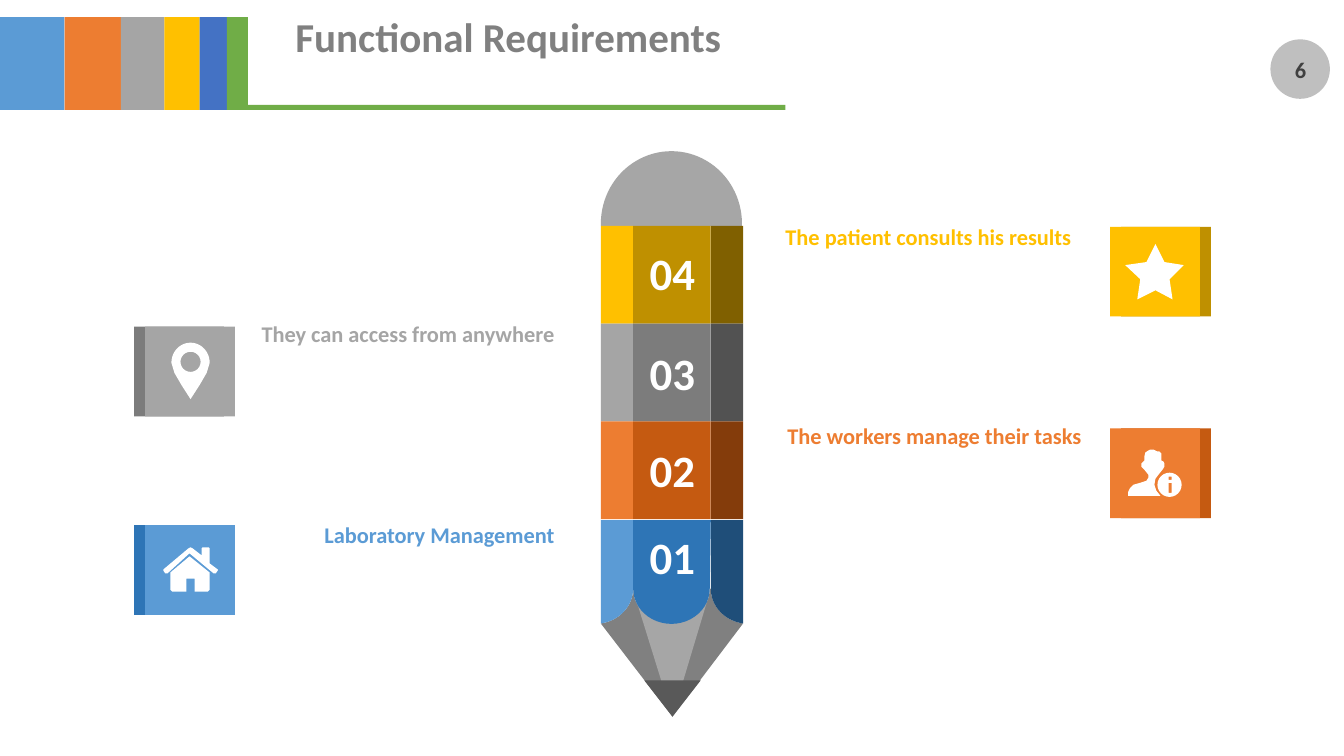
"""Build the Functional Requirements slide: a four-band pencil with labelled icon badges."""
import math

import pptx
import pptx.dml.color
import pptx.enum.shapes
import pptx.enum.text
import pptx.util

RGBColor = pptx.dml.color.RGBColor
SHAPE = pptx.enum.shapes.MSO_SHAPE
ALIGN = pptx.enum.text.PP_ALIGN
ANCHOR = pptx.enum.text.MSO_ANCHOR
FIT = pptx.enum.text.MSO_AUTO_SIZE
CELL = pptx.util.Inches(1)

WHITE = RGBColor(0xFF, 0xFF, 0xFF)
BLUE = RGBColor(0x5B, 0x9B, 0xD5)
MID_BLUE = RGBColor(0x2E, 0x75, 0xB6)
DARK_BLUE = RGBColor(0x1F, 0x4E, 0x79)
ORANGE = RGBColor(0xED, 0x7D, 0x31)
MID_ORANGE = RGBColor(0xC5, 0x5A, 0x11)
DARK_ORANGE = RGBColor(0x84, 0x3C, 0x0B)
GRAY = RGBColor(0xA5, 0xA5, 0xA5)
MID_GRAY = RGBColor(0x7C, 0x7C, 0x7C)
DARK_GRAY = RGBColor(0x52, 0x52, 0x52)
GOLD = RGBColor(0xFF, 0xC0, 0x00)
MID_GOLD = RGBColor(0xBF, 0x90, 0x00)
DARK_GOLD = RGBColor(0x80, 0x60, 0x00)
ROYAL = RGBColor(0x44, 0x72, 0xC4)
GREEN = RGBColor(0x70, 0xAD, 0x47)
SILVER = RGBColor(0xBF, 0xBF, 0xBF)
ERASER = RGBColor(0xA6, 0xA6, 0xA6)
WOOD = RGBColor(0x80, 0x80, 0x80)
LEAD = RGBColor(0x59, 0x59, 0x59)
INK = RGBColor(0x40, 0x40, 0x40)

deck = pptx.Presentation()
deck.slide_width = round(13.33 * CELL)
deck.slide_height = round(7.5 * CELL)
page = deck.slides.add_slide(deck.slide_layouts[6])


def arc(center_x, center_y, radius_x, radius_y, start, end):
    """Return points along an elliptical arc, with angles in degrees clockwise from the right."""
    steps = 24
    angles = [math.radians(start + (end - start) * step / steps) for step in range(steps + 1)]
    return [(center_x + radius_x * math.cos(angle), center_y + radius_y * math.sin(angle))
            for angle in angles]


def draw_outline(color, *contours):
    """Draw closed contours, given in grid cells, as one filled freeform."""
    builder = None
    for contour in contours:
        points = [(x * CELL, y * CELL) for x, y in contour]
        if builder is None:
            builder = page.shapes.build_freeform(*points[0])
        else:
            builder.move_to(*points[0])
        builder.add_line_segments(points[1:], close=True)
    outline = builder.convert_to_shape()
    outline.shadow.inherit = False
    outline.fill.solid()
    outline.fill.fore_color.rgb = color
    outline.line.fill.background()


presets = [
    (SHAPE.OVAL, 12.6, 0.39, 0.59, 0.59, SILVER),
    (SHAPE.RECTANGLE, 2.46, 1.04, 5.33, 0.05, GREEN),
    (SHAPE.CHORD, 5.96, 1.5, 1.4, 1.44, ERASER),
]

stripe_edges = [0, 0.64, 1.2, 1.63, 1.98, 2.25, 2.46]
for left, right, color in zip(stripe_edges, stripe_edges[1:],
                              [BLUE, ORANGE, GRAY, GOLD, ROYAL, GREEN]):
    presets.append((SHAPE.RECTANGLE, left, 0.17, right - left, 0.92, color))

pencil_edges = [5.96, 6.28, 7.05, 7.37]
BAND_TOP, BAND_HEIGHT = 2.24, 0.97
bands = [(GOLD, MID_GOLD, DARK_GOLD), (GRAY, MID_GRAY, DARK_GRAY),
         (ORANGE, MID_ORANGE, DARK_ORANGE)]
for row, shades in enumerate(bands):
    for left, right, color in zip(pencil_edges, pencil_edges[1:], shades):
        presets.append((SHAPE.RECTANGLE, left, BAND_TOP + row * BAND_HEIGHT,
                        right - left, BAND_HEIGHT, color))

BADGE = 0.89
for back, front, top, shade, color in [
    (1.33, 1.44, 5.21, MID_BLUE, BLUE),
    (11.12, 11.01, 4.25, MID_ORANGE, ORANGE),
    (1.33, 1.44, 3.24, MID_GRAY, GRAY),
    (11.12, 11.01, 2.25, MID_GOLD, GOLD),
]:
    presets.append((SHAPE.RECTANGLE, back, top, BADGE, BADGE, shade))
    presets.append((SHAPE.RECTANGLE, front, top, BADGE, BADGE, color))

for kind, left, top, width, height, color in presets:
    shape = page.shapes.add_shape(kind, *[round(size * CELL) for size in (left, top, width, height)])
    shape.shadow.inherit = False
    shape.fill.solid()
    shape.fill.fore_color.rgb = color
    shape.line.fill.background()
    if kind == SHAPE.CHORD:
        shape.adjustments[0] = 106.95
        shape.adjustments[1] = 1.06

scallops = [arc(center, 5.84, 0.38, 0.35, start, end)
            for center, start, end in [(5.9, 81, 0), (6.66, 180, 0), (7.43, 180, 99)]]
tip = (6.67, 7.11)
draw_outline(WOOD, sum(scallops, []) + [tip])
draw_outline(ERASER, [tip, (7.03, 5.91), (6.3, 5.92)])
draw_outline(LEAD, [tip, (6.39, 6.75), (6.95, 6.75)])
for left, right, scallop, color in zip(pencil_edges, pencil_edges[1:], scallops,
                                       [BLUE, MID_BLUE, DARK_BLUE]):
    draw_outline(color, [(left, 5.16)] + scallop + [(right, 5.16)])

house_roof = [(2.13, 5.69), (2.12, 5.69), (1.88, 5.49), (1.66, 5.69), (1.64, 5.69), (1.62, 5.66),
              (1.62, 5.65), (1.87, 5.44), (1.89, 5.43), (1.91, 5.44), (2, 5.51), (2, 5.44),
              (2.01, 5.43), (2.07, 5.43), (2.08, 5.44), (2.08, 5.59), (2.16, 5.65),
              (2.16, 5.66), (2.14, 5.69)]
house_walls = [(2.08, 5.85), (2.06, 5.87), (1.93, 5.87), (1.93, 5.74), (1.85, 5.74), (1.85, 5.87),
               (1.71, 5.87), (1.69, 5.85), (1.69, 5.68), (1.88, 5.52), (2.08, 5.68)]
draw_outline(WHITE, house_roof, house_walls)

worker = [(11.53, 4.66), (11.49, 4.71), (11.46, 4.75), (11.45, 4.81), (11.47, 4.87), (11.51, 4.92),
          (11.19, 4.92), (11.19, 4.88), (11.21, 4.84), (11.24, 4.81), (11.31, 4.79), (11.37, 4.77),
          (11.39, 4.74), (11.39, 4.71), (11.35, 4.66), (11.32, 4.63), (11.32, 4.6), (11.34, 4.58),
          (11.35, 4.57), (11.35, 4.53), (11.36, 4.49), (11.39, 4.47), (11.41, 4.46), (11.44, 4.46),
          (11.48, 4.48), (11.5, 4.48), (11.52, 4.5), (11.52, 4.57), (11.54, 4.58), (11.55, 4.6),
          (11.55, 4.63)]
info_marks = [[(11.59, top), (11.62, top), (11.62, bottom), (11.59, bottom)]
              for top, bottom in [(4.73, 4.76), (4.79, 4.89)]]
draw_outline(WHITE, worker, arc(11.6, 4.81, 0.12, 0.12, 0, 360), *info_marks)

pin = arc(1.89, 3.6, 0.19, 0.2, 180, 360) + [(2.05, 3.7), (1.98, 3.82), (1.89, 3.96),
                                            (1.8, 3.82), (1.73, 3.7)]
draw_outline(WHITE, pin, arc(1.89, 3.59, 0.1, 0.1, 0, 360))

draw_outline(WHITE, [(11.46, 2.42), (11.55, 2.6), (11.74, 2.63), (11.6, 2.77), (11.63, 2.97),
                     (11.46, 2.88), (11.28, 2.97), (11.31, 2.77), (11.16, 2.63), (11.37, 2.6)])

title_style = {"margins": (0, 0), "anchor": ANCHOR.MIDDLE, "fit": FIT.NONE, "size": 29.3}
number_style = {"margins": (0.13, 0.07), "anchor": ANCHOR.MIDDLE, "fit": FIT.NONE, "size": 16}
band_style = {"margins": (0.1, 0.05), "anchor": ANCHOR.TOP, "fit": FIT.SHAPE_TO_FIT_TEXT, "size": 32}
label_style = {"margins": (0, 0), "anchor": ANCHOR.TOP, "fit": FIT.SHAPE_TO_FIT_TEXT, "size": 16}

texts = [
    ("Functional Requirements", 2.93, 0.16, 6.48, 0.45, ALIGN.LEFT, WOOD, title_style),
    ("6", 12.5, 0.39, 0.8, 0.59, ALIGN.CENTER, INK, number_style),
    ("Laboratory Management", 2.42, 5.17, 3.08, 0.27, ALIGN.RIGHT, BLUE, label_style),
    ("The workers manage their tasks", 7.81, 4.19, 3.08, 0.27, ALIGN.LEFT, ORANGE, label_style),
    ("They can access from anywhere", 2.42, 3.18, 3.08, 0.27, ALIGN.RIGHT, GRAY, label_style),
    ("The patient consults his results", 7.79, 2.21, 3.08, 0.27, ALIGN.LEFT, GOLD, label_style),
]
for number, top in enumerate([5.21, 4.34, 3.38, 2.39], start=1):
    texts.append((f"{number:02d}", 6.34, top, 0.66, 0.64, ALIGN.CENTER, WHITE, band_style))

for words, left, top, width, height, align, color, style in texts:
    box = page.shapes.add_textbox(*[round(size * CELL) for size in (left, top, width, height)])
    side, edge = [round(margin * CELL) for margin in style["margins"]]
    frame_format = {"margin_left": side, "margin_right": side, "margin_top": edge,
                    "margin_bottom": edge, "vertical_anchor": style["anchor"],
                    "auto_size": style["fit"], "word_wrap": style is not band_style}
    for name, value in frame_format.items():
        setattr(box.text_frame, name, value)
    para = box.text_frame.paragraphs[0]
    para.alignment = align
    if style is title_style:
        para.line_spacing = 0.9
    span = para.add_run()
    span.text = words
    font_format = {"name": "Calibri", "size": pptx.util.Pt(style["size"]), "bold": True}
    for name, value in font_format.items():
        setattr(span.font, name, value)
    span.font.color.rgb = color

deck.save("out.pptx")
